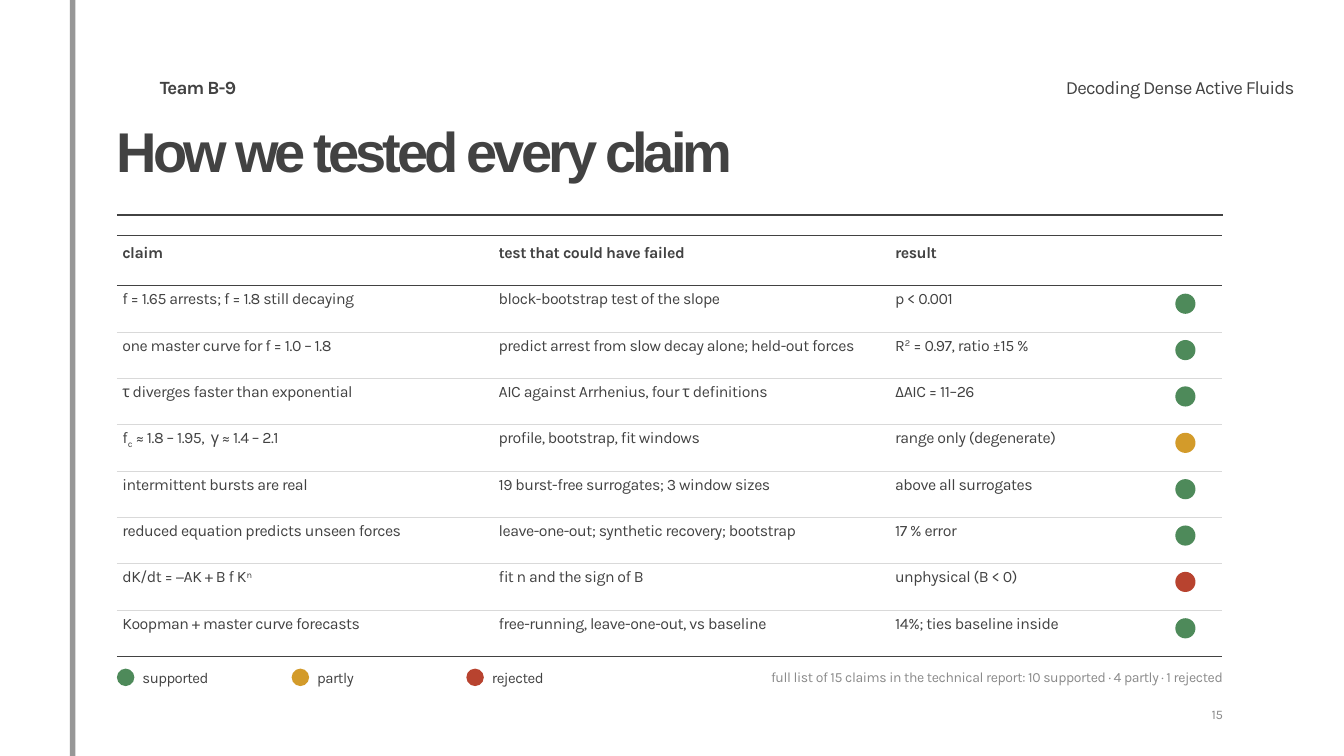
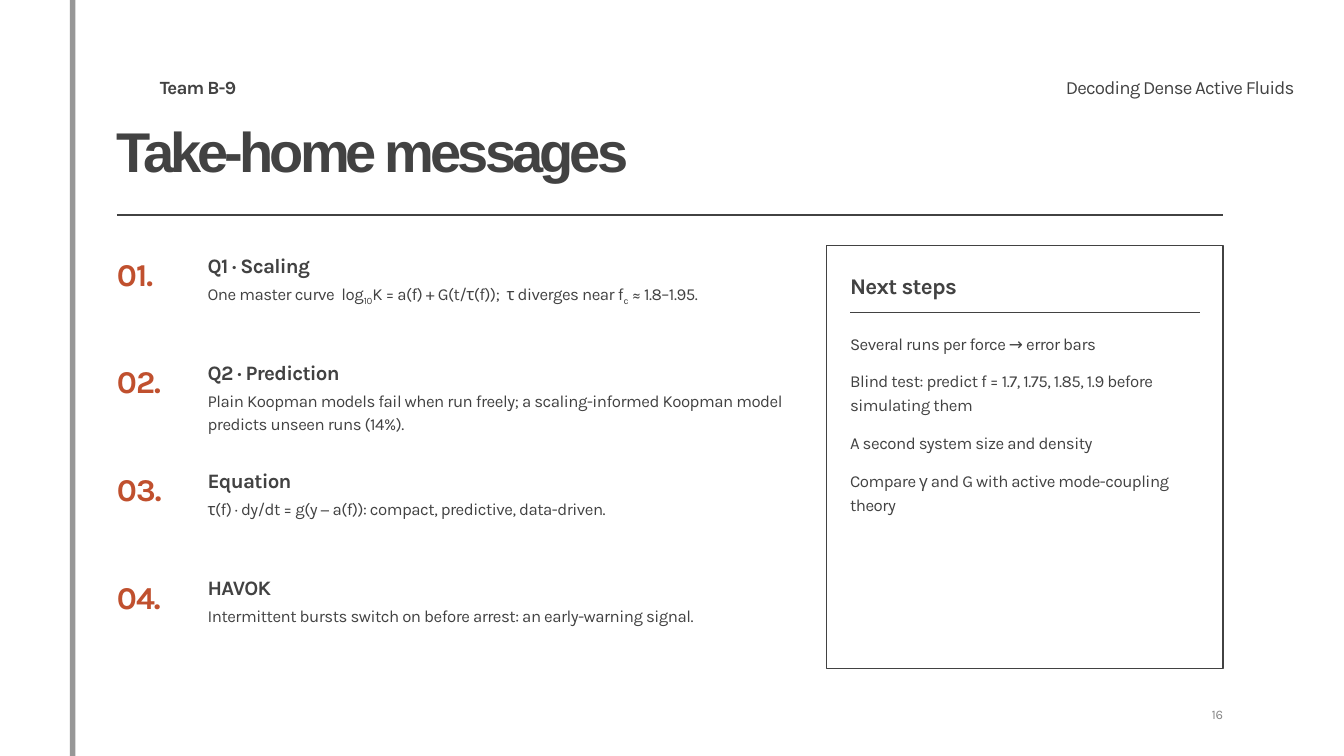
from dataclasses import dataclass

from lxml import etree
from pptx import Presentation
from pptx.dml.color import RGBColor
from pptx.enum.shapes import MSO_CONNECTOR, MSO_SHAPE
from pptx.enum.text import MSO_ANCHOR, MSO_AUTO_SIZE, PP_ALIGN
from pptx.oxml.ns import qn
from pptx.util import Inches, Pt

STRAIGHT = MSO_CONNECTOR.STRAIGHT
OVAL, RECTANGLE = MSO_SHAPE.OVAL, MSO_SHAPE.RECTANGLE
LEFT, RIGHT = PP_ALIGN.LEFT, PP_ALIGN.RIGHT
TOP = MSO_ANCHOR.TOP
NO_AUTOFIT = MSO_AUTO_SIZE.NONE

COLORS = {
    "ink": "424242",
    "muted": "8A8A8A",
    "rule": "D9D9D9",
    "accent": "C0502E",
    "supported": "4E8A5A",
    "partly": "D39B2A",
    "rejected": "B8432F",
}
BODY_FONT, TITLE_FONT = "Karla", "Arial"
SUP, SUB = 30000, -25000
PLAIN_TABLE_STYLE = "{2D5ABB26-0587-4C30-8999-92F81FD0307C}"

SLIDE_WIDTH, SLIDE_HEIGHT = Inches(20), Inches(11.25)
GRID_COLUMNS, GRID_ROWS = 200, 112.5
UNIT = SLIDE_WIDTH / GRID_COLUMNS


def grid(cells):
    return round(cells * UNIT)


@dataclass
class Box:
    x: float
    y: float
    w: float
    h: float

    def inner(self, dx, dy, w, h):
        return Box(self.x + dx, self.y + dy, w, h)

    def place(self):
        return [grid(cells) for cells in (self.x, self.y, self.w, self.h)]


PAGE = Box(0, 0, GRID_COLUMNS, GRID_ROWS)
TABLE = Box(17.4, 35, 164.5, 62.7)
LEGEND = Box(17.4, 98.8, 164.6, 4)
MESSAGES = Box(17.4, 36.5, 99.5, 64)
NEXT_STEPS = Box(123, 36.5, 59, 63)

CLAIM_COLUMNS = [56, 59, 38.5, 11]
HEADER_ROW, CLAIM_ROW = 7.5, 6.9
CLAIM_HEADINGS = ["claim", "test that could have failed", "result"]
CLAIMS = [
    ("f = 1.65 arrests; f = 1.8 still decaying", "block-bootstrap test of the slope",
     "p < 0.001", "supported"),
    ("one master curve for f = 1.0 – 1.8", "predict arrest from slow decay alone; held-out forces",
     ["R", ("2", SUP), " = 0.97, ratio ±15 %"], "supported"),
    ("τ diverges faster than exponential", "AIC against Arrhenius, four τ definitions",
     "ΔAIC = 11–26", "supported"),
    (["f", ("c", SUB), " ≈ 1.8 – 1.95,  γ ≈ 1.4 – 2.1"], "profile, bootstrap, fit windows",
     "range only (degenerate)", "partly"),
    ("intermittent bursts are real", "19 burst-free surrogates; 3 window sizes",
     "above all surrogates", "supported"),
    ("reduced equation predicts unseen forces", "leave-one-out; synthetic recovery; bootstrap",
     "17 % error", "supported"),
    (["dK/dt = −AK + B f K", ("n", SUP)], "fit n and the sign of B",
     "unphysical (B < 0)", "rejected"),
    ("Koopman + master curve forecasts", "free-running, leave-one-out, vs baseline",
     "14%; ties baseline inside", "supported"),
]
VERDICTS = ["supported", "partly", "rejected"]
CLAIM_TOTALS = ("full list of 15 claims in the technical report: "
                "10 supported · 4 partly · 1 rejected")

TAKE_HOME = [
    ("Q1 · Scaling",
     ["One master curve  log", ("10", SUB), "K = a(f) + G(t/τ(f));  τ diverges near f",
      ("c", SUB), " ≈ 1.8–1.95."]),
    ("Q2 · Prediction",
     "Plain Koopman models fail when run freely; a scaling-informed Koopman model "
     "predicts unseen runs (14%)."),
    ("Equation", "τ(f) · dy/dt = g(y − a(f)): compact, predictive, data-driven."),
    ("HAVOK", "Intermittent bursts switch on before arrest: an early-warning signal."),
]
STEPS = [
    "Several runs per force → error bars",
    "Blind test: predict f = 1.7, 1.75, 1.85, 1.9 before simulating them",
    "A second system size and density",
    "Compare γ and G with active mode-coupling theory",
]


def rgb(color):
    return RGBColor.from_string(COLORS[color])


def write(paragraph, content, size, color="ink", bold=False, font=BODY_FONT,
          tracking=-0.5, leading=1.25, align=LEFT):
    for piece in [content] if isinstance(content, str) else content:
        text, baseline = (piece, 0) if isinstance(piece, str) else piece
        run = paragraph.add_run()
        run.text = text
        if baseline:
            run._r.get_or_add_rPr().set("baseline", str(baseline))
    paragraph.alignment = align
    paragraph.line_spacing = leading
    paragraph.font.name = font
    paragraph.font.size = Pt(size)
    paragraph.font.bold = bold
    paragraph.font.color.rgb = rgb(color)
    paragraph._p.pPr.find(qn("a:defRPr")).set("spc", str(round(tracking * 100)))


def clear_frame(frame):
    frame.word_wrap = True
    frame.auto_size = NO_AUTOFIT
    frame.vertical_anchor = TOP
    frame.margin_left = frame.margin_right = frame.margin_top = frame.margin_bottom = 0
    return frame


def add_text(slide, box, content, size, **style):
    frame = clear_frame(slide.shapes.add_textbox(*box.place()).text_frame)
    write(frame.paragraphs[0], content, size, **style)
    return frame


def add_rule(slide, box, width):
    x, y, w, h = box.place()
    rule = slide.shapes.add_connector(STRAIGHT, x, y, x + w, y + h)
    rule.line.color.rgb = rgb("ink")
    rule.line.width = Pt(width)
    etree.SubElement(rule._element.spPr, qn("a:effectLst"))
    return rule


def add_dot(slide, box, verdict):
    dot = slide.shapes.add_shape(OVAL, *box.place())
    dot.shadow.inherit = False
    dot.fill.solid()
    dot.fill.fore_color.rgb = rgb(verdict)
    dot.line.fill.background()


def set_border(cell, side, color, width):
    border = etree.Element(qn(f"a:{side}"), w=str(Pt(width)))
    fill = etree.SubElement(border, qn("a:solidFill"))
    etree.SubElement(fill, qn("a:srgbClr"), val=COLORS[color])
    properties = cell._tc.get_or_add_tcPr()
    properties.insert(1 if side == "lnB" and properties.find(qn("a:lnT")) is not None else 0,
                      border)


def add_page(deck, title, number):
    slide = deck.slides.add_slide(deck.slide_layouts[5])
    spine = add_rule(slide, PAGE.inner(10.8, 0, 0, PAGE.h), 6)
    spine_color = spine._element.spPr.find(".//" + qn("a:srgbClr"))
    etree.SubElement(spine_color, qn("a:alpha"), val="54000")
    band = dict(size=20, tracking=-0.9, leading=Pt(28))
    add_text(slide, PAGE.inner(23.8, 10.7, 39.5, 3.8), "Team B-9", bold=True, **band)
    add_text(slide, PAGE.inner(144.3, 10.7, 48.3, 3.8), "Decoding Dense Active Fluids",
             align=RIGHT, **band)
    add_text(slide, PAGE.inner(172, 104.5, 10, 3.5), str(number), 14, color="muted",
             tracking=-0.4, align=RIGHT)
    heading = slide.shapes.title
    heading.left, heading.top, heading.width, heading.height = PAGE.inner(
        17.4, 18.5, 164, 12).place()
    write(clear_frame(heading.text_frame).paragraphs[0], title, 60, bold=True,
          font=TITLE_FONT, tracking=-4.2, leading=0.9)
    add_rule(slide, PAGE.inner(17.4, 32, 164.6, 0), 1.5)
    return slide


def add_claims_table(slide, box):
    rows = [(*CLAIM_HEADINGS, "")] + [(*claim[:3], "") for claim in CLAIMS]
    table = slide.shapes.add_table(len(rows), len(CLAIM_COLUMNS), *box.place()).table
    table.first_row = table.horz_banding = False
    table._tbl.tblPr.find(qn("a:tableStyleId")).text = PLAIN_TABLE_STYLE
    for column, width in zip(table.columns, CLAIM_COLUMNS):
        column.width = grid(width)
    for r, row in enumerate(rows):
        is_header = r == 0
        table.rows[r].height = grid(HEADER_ROW if is_header else CLAIM_ROW)
        strong = is_header or r == len(rows) - 1
        for c, content in enumerate(row):
            cell = table.cell(r, c)
            cell.fill.background()
            cell.vertical_anchor = TOP
            cell.margin_left = cell.margin_right = grid(0.8)
            cell.margin_top = grid(1 if is_header else 0.4)
            cell.margin_bottom = 0
            write(cell.text_frame.paragraphs[0], content or [], 17, bold=is_header, leading=1.1)
            if is_header:
                set_border(cell, "lnT", "ink", 1.5)
            set_border(cell, "lnB", *(("ink", 1.5) if strong else ("rule", 0.6)))
    dot_size = 3
    dot_x = sum(CLAIM_COLUMNS[:3]) + (CLAIM_COLUMNS[3] - dot_size) / 2
    for r, claim in enumerate(CLAIMS):
        dot_y = HEADER_ROW + r * CLAIM_ROW + 1.2
        add_dot(slide, box.inner(dot_x, dot_y, dot_size, dot_size), claim[3])


def add_legend(slide, box):
    step = 26
    for i, verdict in enumerate(VERDICTS):
        add_dot(slide, box.inner(i * step, 0.7, 2.6, 2.6), verdict)
        add_text(slide, box.inner(i * step + 3.8, 0, 21, box.h), verdict, 16)
    add_text(slide, box.inner(box.w - 86, 0, 86, box.h), CLAIM_TOTALS, 15, color="muted",
             tracking=-0.4, align=RIGHT)


def add_messages(slide, box):
    step = box.h / len(TAKE_HOME)
    indent = 13.5
    text_width = box.w - indent
    for i, (topic, finding) in enumerate(TAKE_HOME):
        y = i * step
        add_text(slide, box.inner(0, y, 12, 8), f"{i + 1:02}.", 34, color="accent", bold=True,
                 tracking=-1)
        add_text(slide, box.inner(indent, y + 0.2, text_width, 5), topic, 22, bold=True,
                 tracking=-0.7)
        add_text(slide, box.inner(indent, y + 5.2, text_width, 9), finding, 18, leading=1.15)


def add_next_steps(slide, box):
    panel = slide.shapes.add_shape(RECTANGLE, *box.place())
    panel.shadow.inherit = False
    panel.fill.background()
    panel.line.color.rgb = rgb("ink")
    panel.line.width = Pt(1.5)
    inset = 3.5
    add_text(slide, box.inner(inset, 3, 53, 5), "Next steps", 24, bold=True, tracking=-0.7)
    add_rule(slide, box.inner(inset, 10, box.w - 2 * inset, 0), 1)
    style = dict(size=18, leading=1.2)
    frame = add_text(slide, box.inner(inset, 12.5, 52.5, 49), STEPS[0], **style)
    for step in STEPS[1:]:
        write(frame.add_paragraph(), step, **style)
    for paragraph in frame.paragraphs[:-1]:
        paragraph.space_after = Pt(14.4)


def main():
    deck = Presentation()
    deck.slide_width, deck.slide_height = SLIDE_WIDTH, SLIDE_HEIGHT
    evidence = add_page(deck, "How we tested every claim", 15)
    add_claims_table(evidence, TABLE)
    add_legend(evidence, LEGEND)
    summary = add_page(deck, "Take-home messages", 16)
    add_messages(summary, MESSAGES)
    add_next_steps(summary, NEXT_STEPS)
    deck.save("out.pptx")


if __name__ == "__main__":
    main()
